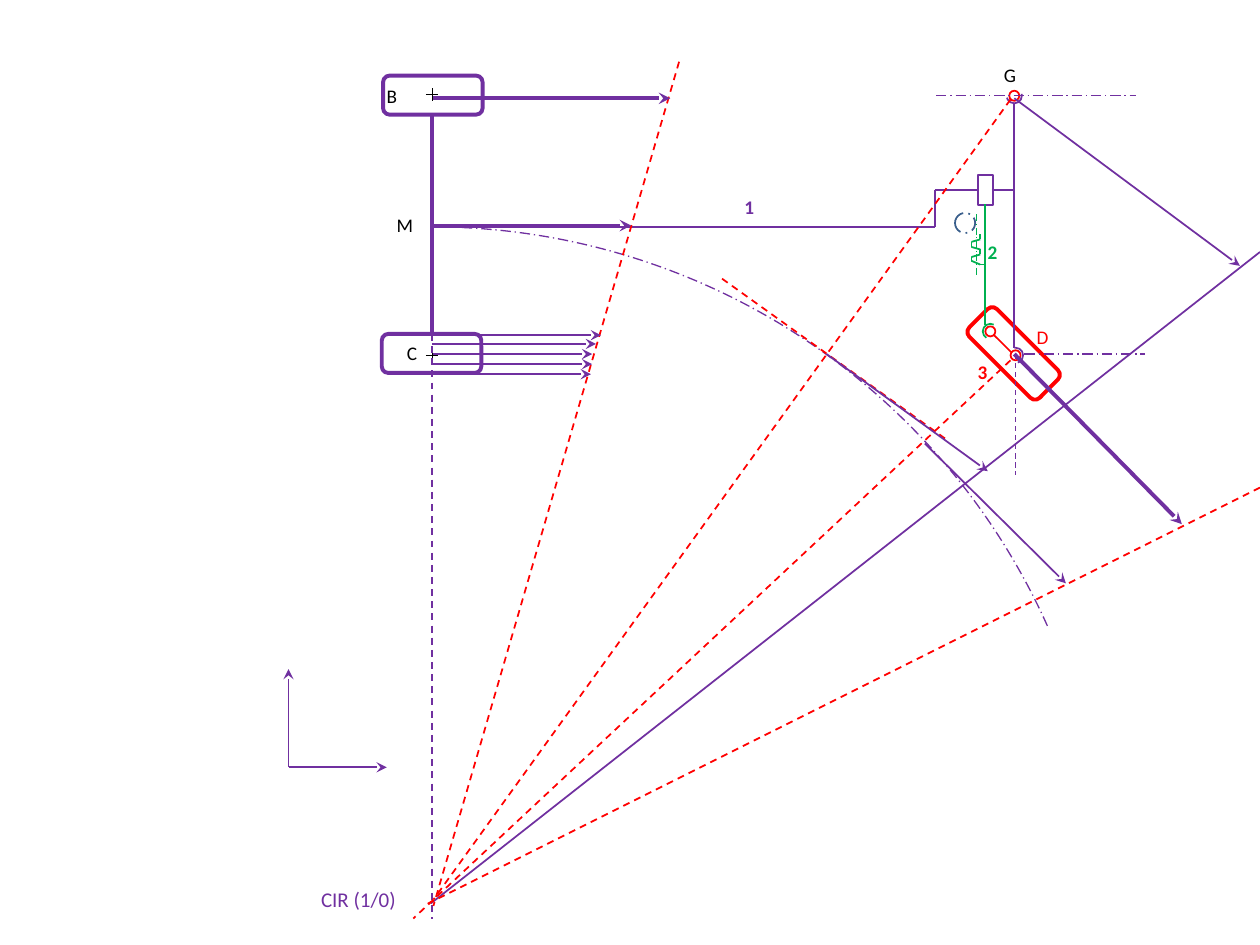
from itertools import pairwise
from lxml.etree import SubElement as Sub
from pptx import Presentation
from pptx.dml.color import RGBColor as RGB
from pptx.enum.dml import MSO_LINE as DASH
from pptx.enum.shapes import MSO_CONNECTOR as LINK, MSO_SHAPE as KIND
from pptx.oxml.ns import qn
from pptx.util import Cm, Pt

INCH = 2.54
HUE = {"violet": "7030A0", "red": "FF0000", "green": "00B050", "blue": "3A5F8C", "black": "000000"}

deck = Presentation()
deck.slide_width, deck.slide_height = Cm(10 * INCH), Cm(7.5 * INCH)
slide = deck.slides.add_slide(deck.slide_layouts[6])
shapes = slide.shapes


def draw_line(start, end, hue="violet", width=1, dash=None, arrow=False):
    ends = [Cm(v * INCH) for v in (*start, *end)]
    link = shapes.add_connector(LINK.STRAIGHT, *ends)
    link.line.color.rgb = RGB.from_string(HUE[hue])
    link.line.width = Pt(width)
    if dash:
        link.line.dash_style = dash
    if arrow:
        Sub(link.line._get_or_add_ln(), qn("a:tailEnd"), type="stealth")
    Sub(link._element.spPr, qn("a:effectLst"))


def draw_shape(kind, left, top, wide, high, hue="violet", width=1):
    shape = shapes.add_shape(kind, *[Cm(v * INCH) for v in (left, top, wide, high)])
    shape.shadow.inherit = False
    shape.fill.background()
    shape.line.color.rgb = RGB.from_string(HUE[hue])
    shape.line.width = Pt(width)
    return shape


draw_shape(KIND.ROUNDED_RECTANGLE, 3.03, 2.65, 0.79, 0.31, width=2.25)
draw_shape(KIND.ROUNDED_RECTANGLE, 3.04, 0.6, 0.79, 0.31, width=2.25)
wheel = draw_shape(KIND.ROUNDED_RECTANGLE, 7.65, 2.65, 0.79, 0.31, "red", 2.25)
wheel.rotation = 45
draw_shape(KIND.RECTANGLE, 7.76, 1.39, 0.12, 0.24)
ring = draw_shape(KIND.OVAL, 7.58, 1.69, 0.16, 0.16, "blue")
ring.line.dash_style = DASH.LONG_DASH_DOT

for x, y, hue, first, last in [
    (8.05, 0.76, "violet", 8.822, 116.746),
    (7.86, 2.63, "green", 146.062, 34.439),
    (8.06, 2.82, "violet", 64.576, 167.238),
]:
    draw_shape(KIND.OVAL, x - 0.04, y - 0.04, 0.08, 0.08, "red")
    arc = draw_shape(KIND.ARC, x - 0.06, y - 0.06, 0.12, 0.12, hue)
    arc.adjustments[0], arc.adjustments[1] = first, last
    arc._element.spPr.xfrm.set("flipH", "1")

course = draw_shape(KIND.ARC, -1.93, 1.8, 10.71, 10.71, width=0.75)
course.adjustments[0], course.adjustments[1] = 122.467, 161.932
course._element.spPr.xfrm.set("flipH", "1")
course.line.dash_style = DASH.LONG_DASH_DOT

draw_line((3.43, 0.92), (3.43, 2.65), width=2.25)
draw_line((8.05, 0.82), (8.05, 2.76))
draw_line((7.87, 1.51), (8.05, 1.51))
for start, end in pairwise([(3.44, 1.8), (7.42, 1.8), (7.42, 1.51), (7.76, 1.51)]):
    draw_line(start, end)

spring = [(7.82, 2.1), (7.78, 2.1), (7.71, 2.07), (7.71, 2.04), (7.78, 2.02),
          (7.78, 1.98), (7.71, 1.96), (7.71, 1.92), (7.78, 1.9), (7.78, 1.86)]
for start, end in pairwise(spring):
    draw_line(start, end, "green")
draw_line((7.75, 1.7), (7.75, 2.18), "green", 0.5, DASH.LONG_DASH_DOT)
draw_line((7.82, 1.62), (7.82, 2.58), "green")
draw_line((7.89, 2.66), (8.03, 2.8), "red")

for y in (0.75, 2.82):
    draw_line((3.43, y - 0.05), (3.43, y + 0.05), "black", 0.5)
    draw_line((3.38, y), (3.48, y), "black", 0.5)

draw_line((8.13, 2.81), (9.09, 2.81), width=0.75, dash=DASH.LONG_DASH_DOT)
draw_line((7.43, 0.76), (9.02, 0.76), width=0.75, dash=DASH.LONG_DASH_DOT)
draw_line((8.06, 2.81), (8.06, 3.77), width=0.75, dash=DASH.DASH)
draw_line((3.43, 2.65), (3.43, 7.29), dash=DASH.DASH)
draw_line((3.42, 7.17), (10, 2))

for start, end in [
    ((8.02, 2.86), (3.28, 7.29)),
    ((8.02, 0.79), (3.44, 7.14)),
    ((10, 3.87), (3.36, 7.19)),
    ((7.5, 3.48), (5.7, 2.19)),
    ((5.39, 0.49), (3.44, 7.19)),
]:
    draw_line(start, end, "red", dash=DASH.DASH)

for start, tip, width in [
    ((2.29, 6.09), (3.07, 6.09), 1),
    ((2.29, 6.09), (2.29, 5.31), 1),
    ((3.44, 0.78), (5.32, 0.78), 2.25),
    ((3.44, 1.79), (5.01, 1.79), 2.25),
    ((8.05, 2.81), (9.38, 4.16), 2.25),
    ((8.05, 0.78), (9.84, 2.11), 1),
    ((6.56, 2.81), (7.84, 3.74), 1),
    ((7.34, 3.52), (8.46, 4.63), 1),
    ((3.44, 2.66), (4.77, 2.66), 1),
    ((3.43, 2.73), (4.73, 2.73), 1),
    ((3.44, 2.81), (4.7, 2.81), 1),
    ((3.44, 2.89), (4.7, 2.89), 1),
    ((3.44, 2.97), (4.69, 2.97), 1),
]:
    draw_line(start, tip, width=width, arrow=True)

for text, left, top, wide, hue, size in [
    ("B", 2.97, 0.62, 0.29, "black", 11),
    ("C", 3.13, 2.66, 0.28, "black", 11),
    ("M", 3.05, 1.64, 0.33, "black", 11),
    ("G", 7.87, 0.45, 0.3, "black", 11),
    ("D", 8.13, 2.53, 0.3, "red", 11),
    ("1", 5.81, 1.5, 0.28, "violet", 11),
    ("2", 7.74, 1.86, 0.28, "green", 11),
    ("3", 7.66, 2.81, 0.28, "red", 11),
    ("CIR (1/0)", 2.45, 6.99, 0.8, "violet", 12),
]:
    box = shapes.add_textbox(*[Cm(v * INCH) for v in (left, top, wide, 0.29)])
    box.text_frame.word_wrap = False
    para = box.text_frame.paragraphs[0]
    para.text = text
    para.font.name, para.font.size = "Calibri", Pt(size)
    para.font.bold = text.isdigit()
    para.font.color.rgb = RGB.from_string(HUE[hue])

deck.save("out.pptx")
